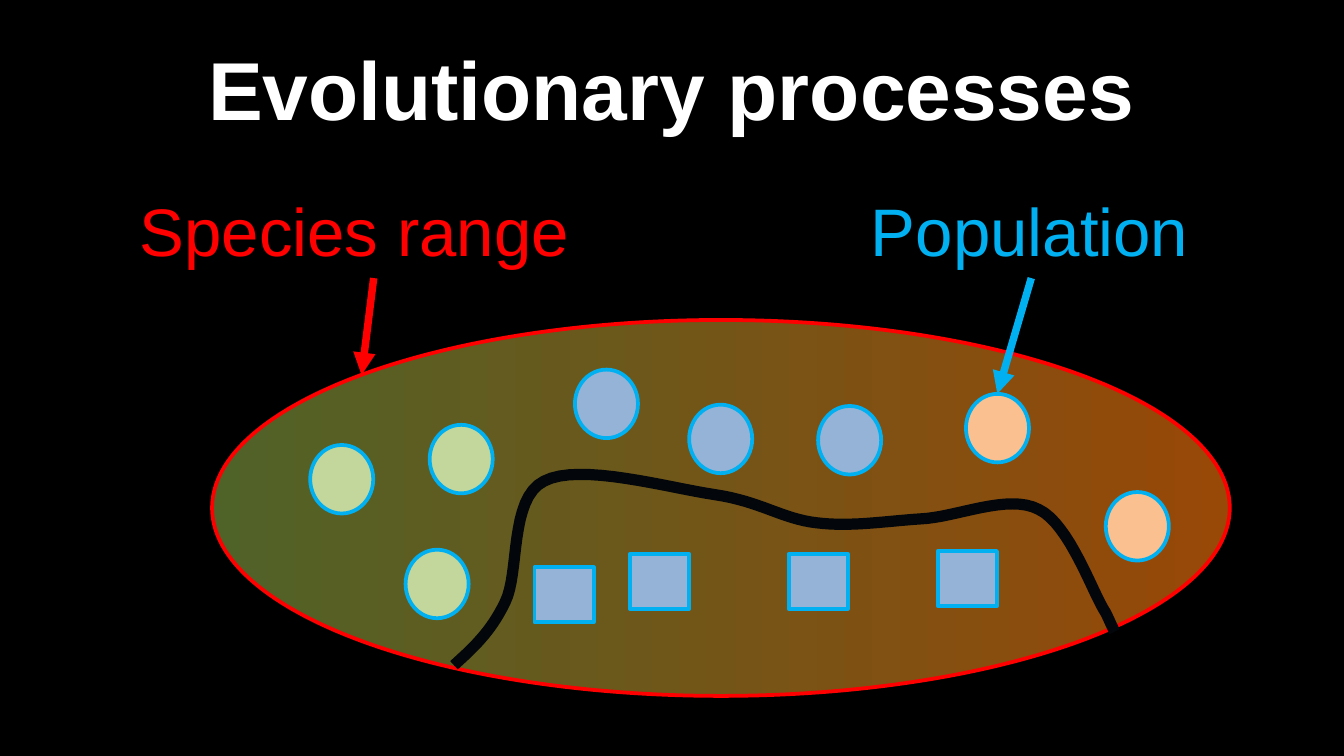
import pptx
import pptx.dml.color
import pptx.enum.shapes
import pptx.enum.text
import pptx.oxml.ns
import pptx.util
from lxml import etree

Pt = pptx.util.Pt
Shape = pptx.enum.shapes.MSO_SHAPE
Align = pptx.enum.text.PP_ALIGN
Anchor = pptx.enum.text.MSO_ANCHOR


class Theme:
    font = "Arial"
    title_size, label_size = 44, 36
    outline, arrow, barrier_width = 2, 4, 6
    background, white = "000000", "FFFFFF"
    red, cyan, barrier = "FF0000", "00B0F0", "03070C"
    range_west, range_east = "4F6228", "984807"
    green, blue, orange = "C3D69B", "95B3D7", "FAC090"


# Positions within the range ellipse
CIRCLE, SQUARE = (33.8, 36.7), (31.7, 29.5)
CIRCLES = [
    (52.6, 67, Theme.green), (255.6, 45.4, Theme.blue),
    (324.7, 46.1, Theme.blue), (403.9, 39.6, Theme.orange),
    (478.8, 92.2, Theme.orange), (103.7, 123.1, Theme.green),
    (116.6, 56.2, Theme.green), (194.4, 26.6, Theme.blue),
]
SQUARES = [(172.8, 132.5), (223.9, 125.3), (388.8, 123.8), (308.9, 125.3)]
BARRIER_START = (129.6, 185)
BARRIER_CURVES = [
    ((139, 176.4), (149, 167.8), (157, 151.2)),
    ((164.9, 135.4), (159.1, 95.8), (177.8, 86.4)),
    ((196.6, 76.3), (244.8, 90), (269.3, 93.6)),
    ((293.8, 97.2), (305.3, 106.6), (324, 108.7)),
    ((342, 110.9), (359.3, 108), (379.4, 106.6)),
    ((398.9, 105.8), (426.2, 92.9), (442.8, 101.5)),
    ((459.4, 109.4), (471.6, 146.2), (478.8, 157)),
    ((480.5, 160.5), (482, 164), (483.5, 167)),
]


def rgb(color):
    return pptx.dml.color.RGBColor.from_string(color)


def set_line(sp, color, width):
    sp.line.color.rgb = rgb(color)
    sp.line.width = Pt(width)


def add_text(s, box, text, size=Theme.label_size, color=Theme.white, bold=False,
             align=Align.LEFT, anchor=Anchor.TOP, spacing=1.0):
    tf = s.shapes.add_textbox(*map(Pt, box)).text_frame
    tf.word_wrap = True
    tf.vertical_anchor = anchor
    p = tf.paragraphs[0]
    p.alignment, p.line_spacing = align, spacing
    r = p.add_run()
    r.text = text
    r.font.name, r.font.size, r.font.bold = Theme.font, Pt(size), bold
    r.font.color.rgb = rgb(color)


def add_outlined(s, kind, box, color):
    sp = s.shapes.add_shape(kind, *map(Pt, box))
    sp.shadow.inherit = False
    set_line(sp, color, Theme.outline)
    return sp


def add_arrow(s, start, end, color):
    sp = s.shapes.add_connector(pptx.enum.shapes.MSO_CONNECTOR.STRAIGHT,
                                *map(Pt, start + end))
    set_line(sp, color, Theme.arrow)
    qn = pptx.oxml.ns.qn
    etree.SubElement(sp.line._get_or_add_ln(), qn("a:tailEnd"), type="triangle")
    etree.SubElement(sp._element.spPr, qn("a:effectLst"))


def curve_points(start, curves, steps=16):
    """Sample a chain of cubic Bezier curves."""
    points = [start]
    for c1, c2, end in curves:
        for i in range(1, steps + 1):
            t = i / steps
            u = 1 - t
            points.append(tuple(
                u**3 * a + 3 * u * u * t * b + 3 * u * t * t * c + t**3 * d
                for a, b, c, d in zip(start, c1, c2, end)))
        start = end
    return points


def add_title(s, box):
    add_text(s, box, "Evolutionary processes", size=Theme.title_size, bold=True,
             align=Align.CENTER, anchor=Anchor.MIDDLE, spacing=0.9)


def add_range(s, box):
    x, y = box[:2]
    # Species range
    sp = add_outlined(s, Shape.OVAL, box, Theme.red)
    sp.fill.gradient()
    sp.fill.gradient_angle = 0
    for stop, color in zip(sp.fill.gradient_stops, (Theme.range_west, Theme.range_east)):
        stop.color.rgb = rgb(color)

    # Barrier
    points = [(Pt(x + px), Pt(y + py))
              for px, py in curve_points(BARRIER_START, BARRIER_CURVES)]
    fb = s.shapes.build_freeform(*points[0])
    fb.add_line_segments(points[1:], close=False)
    sp = fb.convert_to_shape()
    sp.shadow.inherit = False
    sp.fill.background()
    set_line(sp, Theme.barrier, Theme.barrier_width)

    # Populations on both sides of the barrier
    populations = [(Shape.OVAL, CIRCLE, *c) for c in CIRCLES]
    populations += [(Shape.RECTANGLE, SQUARE, *q, Theme.blue) for q in SQUARES]
    for kind, size, dx, dy, color in populations:
        sp = add_outlined(s, kind, (x + dx, y + dy, *size), Theme.cyan)
        sp.fill.solid()
        sp.fill.fore_color.rgb = rgb(color)


def add_label(s, box, text, color, start_dx, tip):
    x, y, _, h = box
    add_text(s, box, text, color=color)
    add_arrow(s, (x + start_dx, y + h), tip, color)


def main():
    prs = pptx.Presentation()
    prs.slide_width, prs.slide_height = Pt(720), Pt(405)
    s = prs.slides.add_slide(prs.slide_layouts[6])
    s.background.fill.solid()
    s.background.fill.fore_color.rgb = rgb(Theme.background)

    add_title(s, (36, 16.5, 648, 67.7))
    add_range(s, (113.6, 171.4, 545.2, 201.4))
    add_label(s, (67.7, 98, 265, 51), "Species range", Theme.red, 132.5, (193.7, 200.9))
    add_label(s, (459.5, 98, 187.2, 51), "Population", Theme.cyan, 93, (534.3, 211))
    prs.save("out.pptx")


if __name__ == "__main__":
    main()
